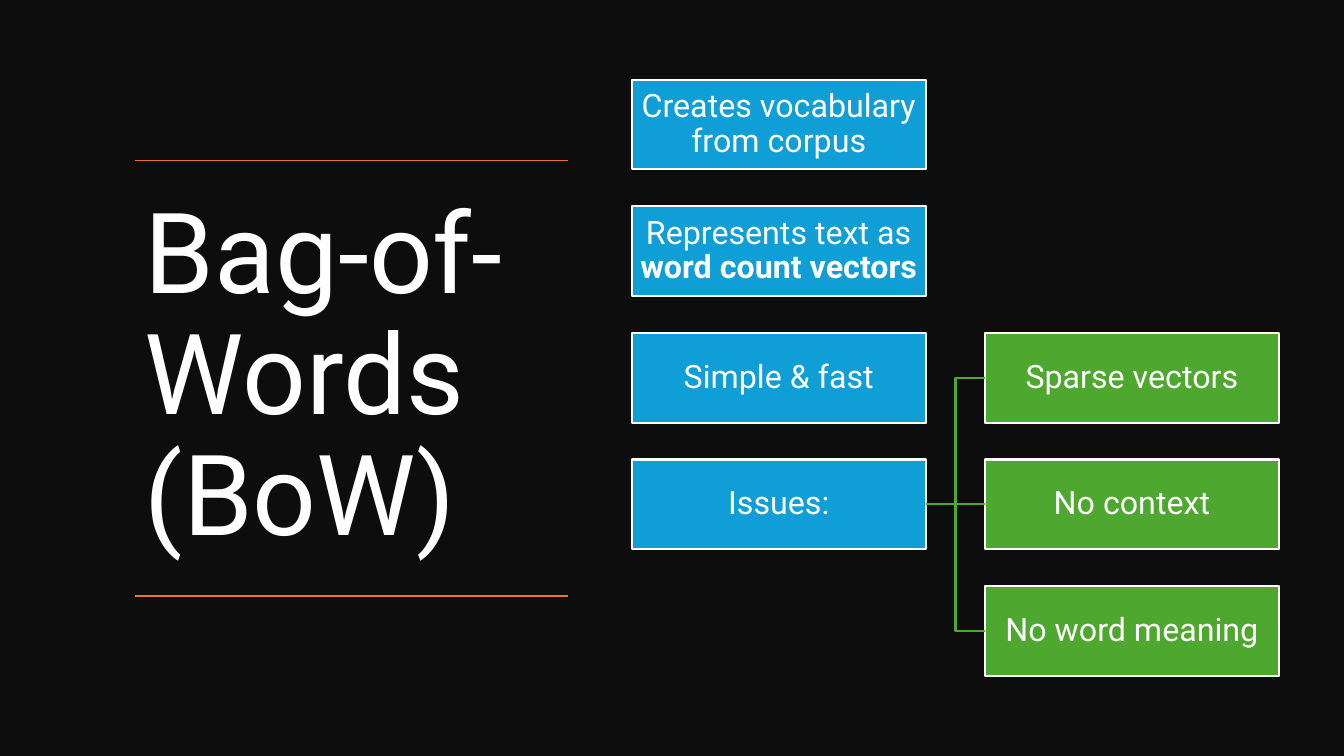
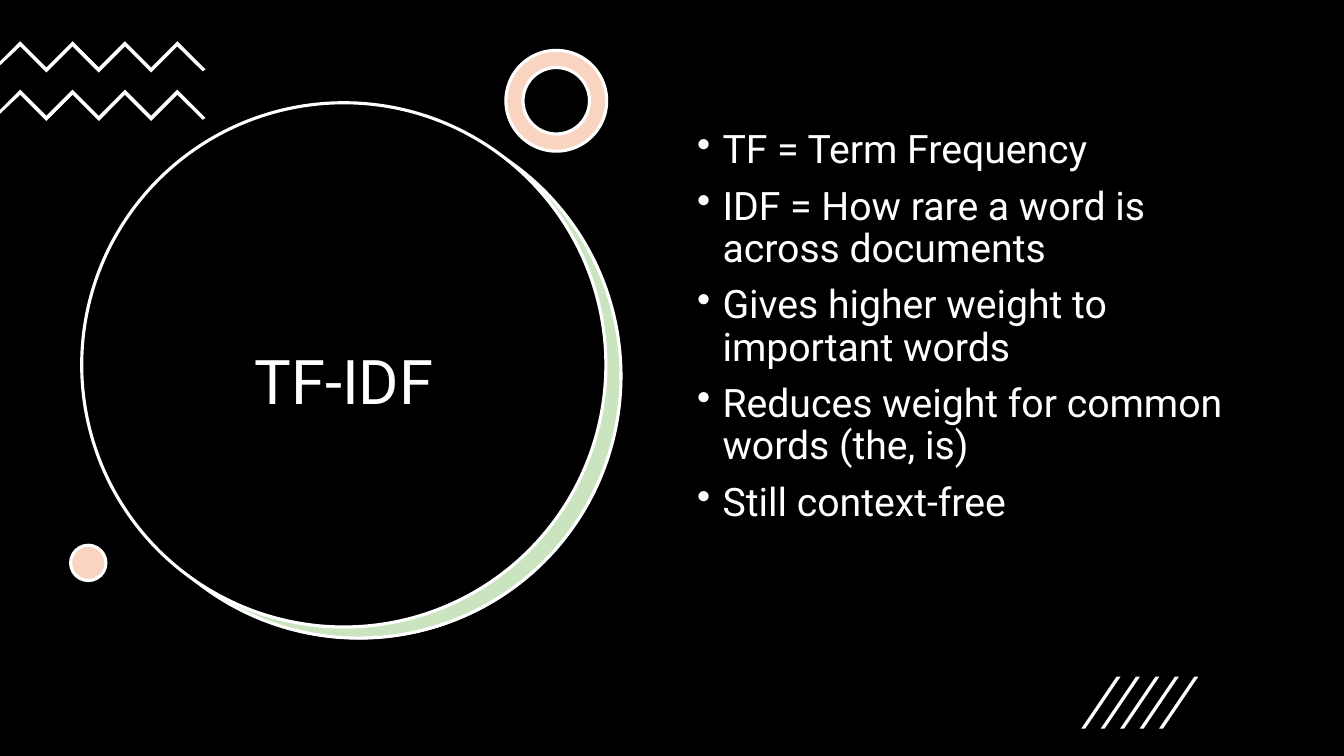
"""Builds two dark slides on the bag-of-words and TF-IDF text models."""
from dataclasses import dataclass

from lxml import etree
from pptx import Presentation
from pptx.dml.color import RGBColor
from pptx.enum.shapes import MSO_CONNECTOR, MSO_SHAPE
from pptx.enum.text import MSO_ANCHOR, PP_ALIGN
from pptx.oxml.ns import qn
from pptx.util import Cm, Pt

RECT, OVAL, RING = MSO_SHAPE.RECTANGLE, MSO_SHAPE.OVAL, MSO_SHAPE.DONUT
LINE, ELBOW = MSO_CONNECTOR.STRAIGHT, MSO_CONNECTOR.ELBOW
MID, TOP = MSO_ANCHOR.MIDDLE, MSO_ANCHOR.TOP
LEFT, CENTER = PP_ALIGN.LEFT, PP_ALIGN.CENTER


@dataclass(frozen=True)
class Theme:
    font: str = "Roboto"
    white: str = "FFFFFF"
    black: str = "000000"
    coal: str = "0D0D0D"
    orange: str = "E97132"
    blue: str = "0F9ED5"
    green: str = "4EA72E"
    huge: float = 80
    head: float = 44
    body: float = 28
    label: float = 23
    rule: float = 1
    thin: float = 1.5
    bold: float = 2.25
    tint: int = 30


T = Theme()


def paint(shape, fill, line=None, width=T.thin, alpha=100):
    shape.shadow.inherit = False
    shape.fill.solid()
    shape.fill.fore_color.rgb = RGBColor.from_string(fill)
    if alpha < 100:
        color = shape.fill._xPr.find(qn("a:solidFill"))[0]
        etree.SubElement(color, qn("a:alpha")).set("val", str(alpha * 1000))
    if line:
        shape.line.color.rgb = RGBColor.from_string(line)
        shape.line.width = Pt(width)
    else:
        shape.line.fill.background()


def write(box, lines, size, align=LEFT, anchor=MID):
    frame = box.text_frame
    frame.word_wrap = True
    frame.vertical_anchor = anchor
    for i, line in enumerate(lines):
        par = frame.add_paragraph() if i else frame.paragraphs[0]
        par.text = line
        par.alignment = align
        par.line_spacing = 0.9
        par.font.name = T.font
        par.font.size = Pt(size)
        par.font.color.rgb = RGBColor.from_string(T.white)
    return frame


deck = Presentation()
deck.slide_width, deck.slide_height = Cm(33.87), Cm(19.05)

pages = [
    (T.coal, "Bag-of-Words (BoW)", (3.4, 4.04, 10.92, 11), T.huge, LEFT),
    (T.black, "TF-IDF", (3.07, 5.21, 11.2, 8.94), T.head, CENTER),
]
for back, title, place, size, align in pages:
    slide = deck.slides.add_slide(deck.slide_layouts[6])
    slide.background.fill.solid()
    slide.background.fill.fore_color.rgb = RGBColor.from_string(back)
    if back == T.black:
        marks = [
            (OVAL, 2.46, 2.9, 2.44, 2.87, 13.21, T.green),
            (RING, 12.75, 1.27, 12.75, 1.27, 2.54, T.orange),
            (OVAL, 1.78, 13.74, 1.78, 13.74, 0.89, T.orange),
        ]
        for kind, bx, by, x, y, side, color in marks:
            base = slide.shapes.add_shape(kind, Cm(bx), Cm(by), Cm(side), Cm(side))
            paint(base, T.white)
            top = slide.shapes.add_shape(kind, Cm(x), Cm(y), Cm(side), Cm(side))
            paint(top, color, T.white, T.bold, T.tint)
            if kind == RING:
                base.adjustments[0] = top.adjustments[0] = 0.17
        disc = slide.shapes.add_shape(OVAL, Cm(2.06), Cm(2.59), Cm(13.21), Cm(13.21))
        paint(disc, T.black, T.white, T.bold)
    box = slide.shapes.add_textbox(*map(Cm, place))
    write(box, [title], size, align)

bow, idf = deck.slides

cards = [
    (0, 0, "Creates vocabulary from corpus", ""),
    (0, 1, "Represents text as ", "word count vectors"),
    (0, 2, "Simple & fast", ""),
    (0, 3, "Issues:", ""),
    (1, 2, "Sparse vectors", ""),
    (1, 3, "No context", ""),
    (1, 4, "No word meaning", ""),
]
boxes = []
for col, row, text, strong in cards:
    box = bow.shapes.add_shape(
        RECT, Cm(15.92 + 8.9 * col), Cm(2.01 + 3.19 * row), Cm(7.42), Cm(2.26))
    paint(box, T.green if col else T.blue, T.white)
    frame = write(box, [text], T.label, CENTER)
    frame.margin_left = frame.margin_right = Cm(0.05)
    frame.margin_top = frame.margin_bottom = Cm(0.05)
    if strong:
        run = frame.paragraphs[0].add_run()
        run.text = strong
        run.font.bold = True
    boxes.append(box)

links = []
for y in (4.04, 15.02):
    link = bow.shapes.add_connector(LINE, Cm(3.4), Cm(y), Cm(14.32), Cm(y))
    links.append((link, T.orange, T.rule))
issue, flaws = boxes[3], boxes[4:]
for flaw in flaws:
    kind = LINE if flaw.top == issue.top else ELBOW
    link = bow.shapes.add_connector(kind, 0, 0, 0, 0)
    link.begin_connect(issue, 3)
    link.end_connect(flaw, 1)
    links.append((link, T.green, T.thin))
for link, color, width in links:
    link.line.color.rgb = RGBColor.from_string(color)
    link.line.width = Pt(width)
    etree.SubElement(link._element.spPr, qn("a:effectLst"))

forms = []
for y in (1.04, 2.26):
    ridge = [(0.51 + 0.66 * i, y + 0.66 * (i % 2)) for i in range(7)]
    under = [(px, py + 0.13) for px, py in reversed(ridge)]
    tip = [(5.18, y + 0.71), (5.11, y + 0.76)]
    forms.append(ridge + tip + under + [(0, y + 0.61), (0, y + 0.51)])
for i in range(5):
    x = 27.25 + 0.49 * i
    forms.append([(x + 0.1, 18.36), (x, 18.36), (x + 0.89, 17.05), (x + 0.99, 17.05)])
for form in forms:
    start, *rest = [(Cm(px), Cm(py)) for px, py in form]
    pen = idf.shapes.build_freeform(*start)
    pen.add_line_segments(rest)
    paint(pen.convert_to_shape(), T.white)

points = [
    "TF = Term Frequency",
    "IDF = How rare a word is across documents",
    "Gives higher weight to important words",
    "Reduces weight for common words (the, is)",
    "Still context-free",
]
box = idf.shapes.add_textbox(Cm(17.32), Cm(3.15), Cm(14.5), Cm(12.09))
for par in write(box, points, T.body, anchor=TOP).paragraphs:
    par.space_before = Pt(10)
    props = par._p.get_or_add_pPr()
    props.set("marL", str(Cm(0.64)))
    props.set("indent", str(-Cm(0.64)))
    mark = etree.Element(qn("a:buChar"))
    mark.set("char", "•")
    props.find(qn("a:defRPr")).addprevious(mark)

deck.save("out.pptx")
